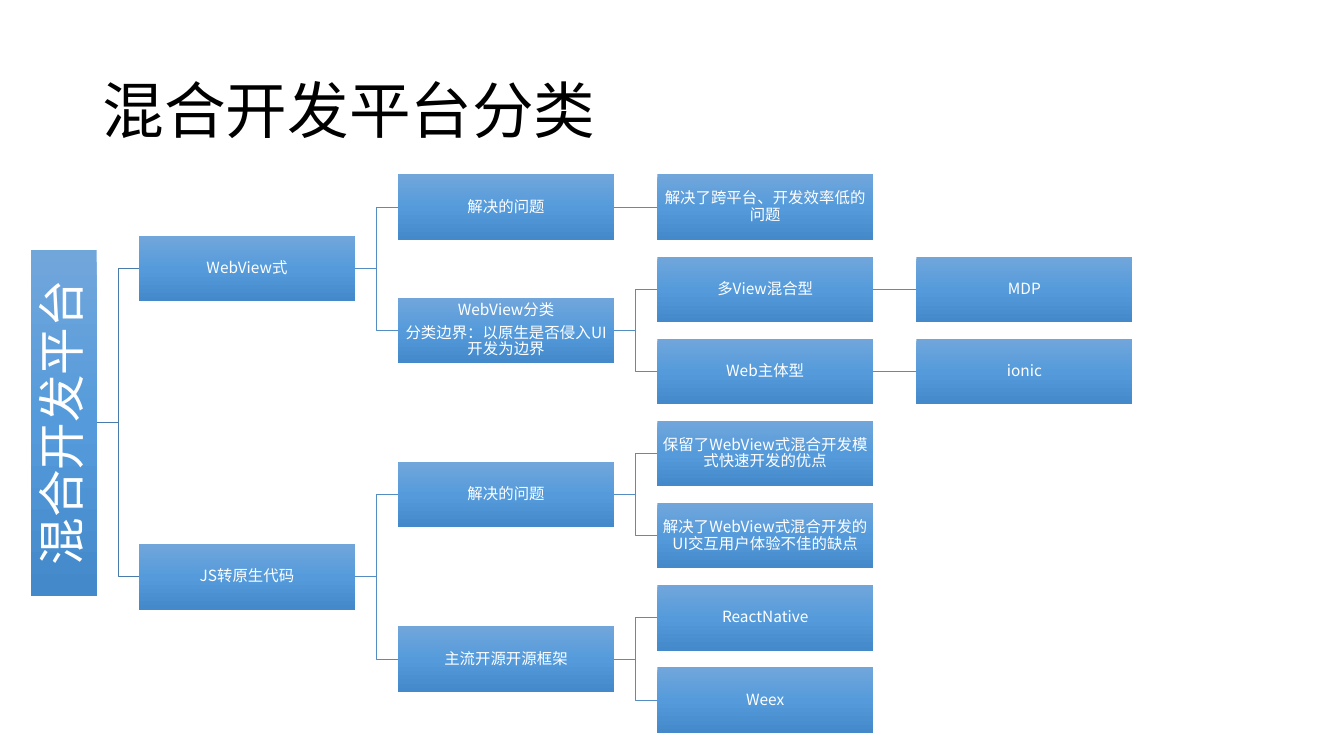
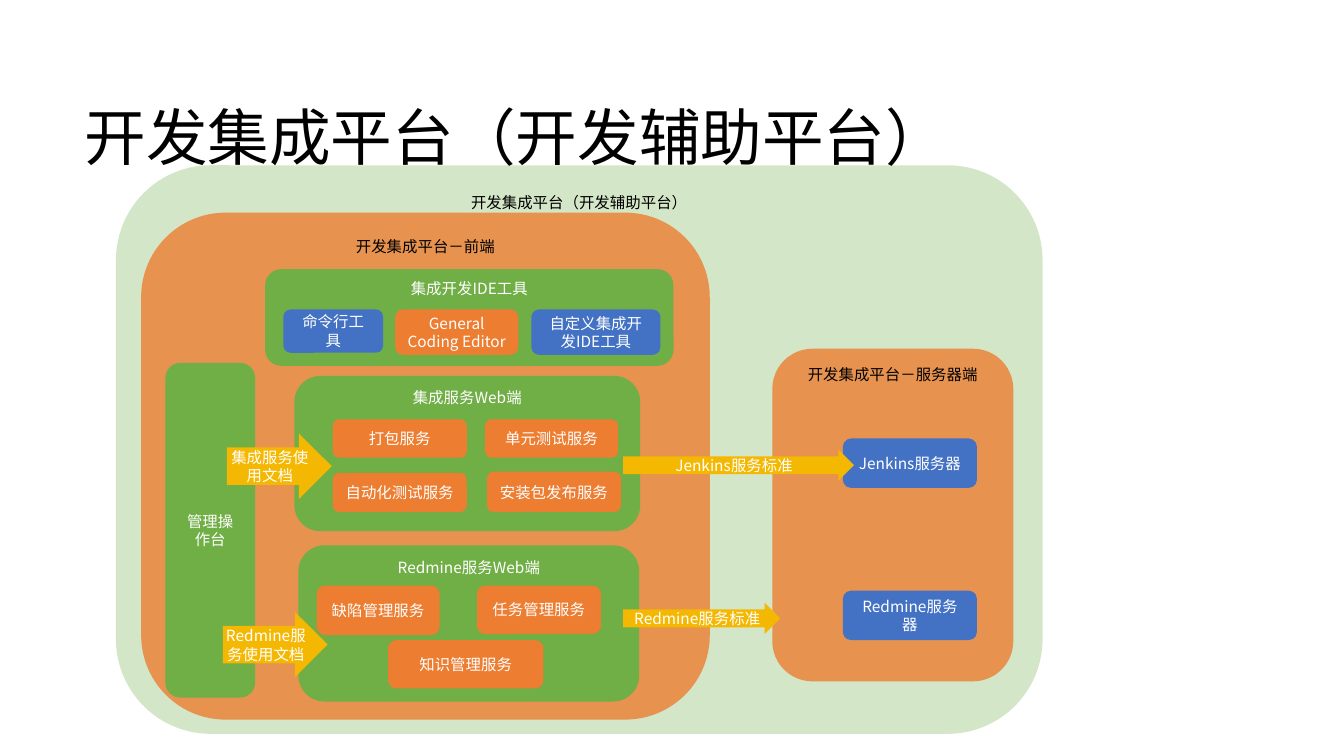
from copy import deepcopy
from itertools import count

from lxml import etree
from pptx import Presentation
from pptx.dml.color import RGBColor
from pptx.enum import shapes, text
from pptx.oxml.ns import qn
from pptx.util import Inches, Pt

FONT = "Noto Sans CJK SC"
BLACK, WHITE = "000000", "FFFFFF"
GREEN, ORANGE, BLUE, YELLOW = "70AE46", "ED7D31", "4372C4", "F4B802"
ROOT_LINE, BRANCH_LINE = "497CAB", "538DC1"
GRADIENT = [(0, "71A6DB"), (0.5, "559BDB"), (1, "448ACA")]
LABEL_SIZE, ROOT_SIZE, TITLE_SIZE = 11, 34, 44

NODE_WIDTH, NODE_HEIGHT = 2.14, 0.65
FIRST_LEFT, COLUMN_PITCH = 1.38, 2.57
FIRST_TOP, ROW_PITCH = 1.73, (6.62 - 1.73) / 6
ROOT_LEFT, ROOT_LENGTH = 0.31, 3.43

TREE = ("混合开发平台", [
    ("WebView式", [
        ("解决的问题", [("解决了跨平台、开发效率低的问题", [])]),
        ("WebView分类\n分类边界：以原生是否侵入UI开发为边界", [
            ("多View混合型", [("MDP", [])]),
            ("Web主体型", [("ionic", [])]),
        ]),
    ]),
    ("JS转原生代码", [
        ("解决的问题", [
            ("保留了WebView式混合开发模式快速开发的优点", []),
            ("解决了WebView式混合开发的UI交互用户体验不佳的缺点", []),
        ]),
        ("主流开源开源框架", [("ReactNative", []), ("Weex", [])]),
    ]),
])

PLATFORM_PANELS = [
    ("开发集成平台（开发辅助平台）", (1.15, 1.64, 9.19, 5.64), GREEN, 30, 0),
    ("开发集成平台－服务器端", (7.66, 3.46, 2.39, 3.3), ORANGE, 80, None),
    ("开发集成平台－前端", (1.4, 2.11, 5.64, 5.03), ORANGE, 80, 0),
]
SERVICE_PANELS = [
    ("集成开发IDE工具", (2.63, 2.67, 4.05, 0.96)),
    ("集成服务Web端", (2.92, 3.73, 3.43, 1.54)),
    ("Redmine服务Web端", (2.96, 5.41, 3.38, 1.55)),
]
BLOCKS = [
    ("管理操作台", (1.64, 3.6, 0.89, 3.32), GREEN),
    ("命令行工具", (2.81, 3.07, 0.99, 0.43), BLUE),
    ("General Coding Editor", (3.92, 3.07, 1.22, 0.45), ORANGE),
    ("自定义集成开发IDE工具", (5.27, 3.07, 1.28, 0.45), BLUE),
    ("打包服务", (3.3, 4.16, 1.33, 0.38), ORANGE),
    ("单元测试服务", (4.81, 4.16, 1.32, 0.38), ORANGE),
    ("自动化测试服务", (3.3, 4.69, 1.33, 0.39), ORANGE),
    ("安装包发布服务", (4.83, 4.68, 1.33, 0.4), ORANGE),
    ("缺陷管理服务", (3.14, 5.81, 1.22, 0.49), ORANGE),
    ("任务管理服务", (4.73, 5.81, 1.23, 0.48), ORANGE),
    ("知识管理服务", (3.85, 6.35, 1.54, 0.48), ORANGE),
    ("Jenkins服务器", (8.36, 4.35, 1.33, 0.49), BLUE),
    ("Redmine服务器", (8.36, 5.86, 1.33, 0.49), BLUE),
]
ARROWS = [
    ("Jenkins服务标准", (6.18, 4.46, 2.29, 0.31)),
    ("集成服务使用文档", (2.25, 4.3, 1.04, 0.65)),
    ("Redmine服务标准", (6.18, 5.98, 1.56, 0.31)),
    ("Redmine服务使用文档", (2.21, 6.07, 1.04, 0.65)),
]


def color(value):
    """Turn a hex string into a colour."""
    return RGBColor.from_string(value)


def write(box, words, size, tone, align, anchor=text.MSO_ANCHOR.MIDDLE, inset=None):
    """Fill a box with evenly styled paragraphs and return them."""
    frame = box.text_frame
    frame.word_wrap = True
    frame.vertical_anchor = anchor
    if inset is not None:
        frame.margin_left = frame.margin_right = Inches(inset)
        frame.margin_top = frame.margin_bottom = Inches(inset)
    frame.text = words
    for para in frame.paragraphs:
        para.alignment = align
        para.font.size = Pt(size)
        para.font.name = FONT
        para.font.color.rgb = color(tone)
        defaults = para._p.pPr.find(qn("a:defRPr"))
        etree.SubElement(defaults, qn("a:ea")).set("typeface", FONT)
    return frame.paragraphs


def add_title(page, words, place):
    """Add the slide title."""
    box = page.shapes.add_textbox(*map(Inches, place))
    for para in write(box, words, TITLE_SIZE, BLACK, text.PP_ALIGN.LEFT):
        para.line_spacing = 0.9


def add_box(page, kind, place):
    """Add a preset shape without outline or shadow."""
    box = page.shapes.add_shape(kind, *map(Inches, place))
    box.shadow.inherit = False
    box.line.fill.background()
    return box


def fill_solid(box, tone, opacity=100):
    """Fill a shape with one colour, translucent if asked."""
    box.fill.solid()
    box.fill.fore_color.rgb = color(tone)
    if opacity < 100:
        swatch = box._element.spPr.find(qn("a:solidFill")).find(qn("a:srgbClr"))
        etree.SubElement(swatch, qn("a:alpha")).set("val", str(opacity * 1000))


def fill_gradient(box):
    """Fill a shape with the downward blue gradient."""
    box.fill.gradient()
    box.fill.gradient_angle = 270
    stop_list = box._element.spPr.find(qn("a:gradFill")).find(qn("a:gsLst"))
    stop_list.insert(1, deepcopy(stop_list[0]))
    for stop, (position, tone) in zip(box.fill.gradient_stops, GRADIENT):
        stop.position = position
        stop.color.rgb = color(tone)


def add_node(page, words, place, size=LABEL_SIZE, inset=0.01):
    """Add one gradient box of the tree."""
    box = add_box(page, shapes.MSO_SHAPE.RECTANGLE, place)
    fill_gradient(box)
    for para in write(box, words, size, WHITE, text.PP_ALIGN.CENTER, inset=inset):
        para.line_spacing = 0.9
        para.space_after = Pt(round(size * 0.35))
    return box


def add_link(page, parent, child, tone):
    """Join the right side of a parent to the left side of its child."""
    level = abs(parent.top + parent.height / 2 - child.top - child.height / 2) < Inches(0.01)
    kind = shapes.MSO_CONNECTOR.STRAIGHT if level else shapes.MSO_CONNECTOR.ELBOW
    link = page.shapes.add_connector(kind, 0, 0, 0, 0)
    link.begin_connect(parent, 3)
    link.end_connect(child, 1)
    link.line.color.rgb = color(tone)
    link.line.width = Pt(0.5)
    etree.SubElement(link._element.spPr, qn("a:effectLst"))


def add_branch(page, branch, depth, rows):
    """Add a branch with its children, centred on them, and return its box."""
    words, children = branch
    boxes = [add_branch(page, child, depth + 1, rows) for child in children]
    if boxes:
        top = (boxes[0].top + boxes[-1].top) / 2 / Inches(1)
    else:
        top = FIRST_TOP + next(rows) * ROW_PITCH
    if depth < 0:
        root_top = top + (NODE_HEIGHT - ROOT_LENGTH) / 2
        node = add_node(page, words, (ROOT_LEFT, root_top, NODE_HEIGHT, ROOT_LENGTH),
                        ROOT_SIZE, 0.02)
        node.text_frame._txBody.bodyPr.set("vert", "vert270")
    else:
        left = FIRST_LEFT + depth * COLUMN_PITCH
        node = add_node(page, words, (left, top, NODE_WIDTH, NODE_HEIGHT))
    for box in boxes:
        add_link(page, node, box, ROOT_LINE if depth < 0 else BRANCH_LINE)
    return node


def add_panel(page, words, place, tone, opacity=100, inset=None, ink=WHITE):
    """Add a rounded container with its label at the top."""
    panel = add_box(page, shapes.MSO_SHAPE.ROUNDED_RECTANGLE, place)
    fill_solid(panel, tone, opacity)
    write(panel, words, LABEL_SIZE, ink, text.PP_ALIGN.CENTER, text.MSO_ANCHOR.TOP, inset)


def add_block(page, words, place, tone):
    """Add a rounded block with a centred label."""
    block = add_box(page, shapes.MSO_SHAPE.ROUNDED_RECTANGLE, place)
    fill_solid(block, tone)
    write(block, words, LABEL_SIZE, WHITE, text.PP_ALIGN.CENTER)


def add_arrow(page, words, place):
    """Add a labelled block arrow pointing right."""
    arrow = add_box(page, shapes.MSO_SHAPE.RIGHT_ARROW, place)
    arrow.adjustments[0] = 0.57
    fill_solid(arrow, YELLOW)
    write(arrow, words, LABEL_SIZE, WHITE, text.PP_ALIGN.CENTER, inset=0)


def build_tree_slide(page):
    """Build the classification tree."""
    add_title(page, "混合开发平台分类", (0.92, 0.4, 11.5, 1.45))
    add_branch(page, TREE, -1, count())


def build_platform_slide(page):
    """Build the integration platform diagram."""
    for words, place, tone, opacity, inset in PLATFORM_PANELS:
        add_panel(page, words, place, tone, opacity, inset, BLACK)
    for words, place in SERVICE_PANELS:
        add_panel(page, words, place, GREEN)
    for words, place, tone in BLOCKS:
        add_block(page, words, place, tone)
    for words, place in ARROWS:
        add_arrow(page, words, place)
    add_title(page, "开发集成平台（开发辅助平台）", (0.74, 0.67, 10.42, 1.44))


def main():
    """Build and save the deck."""
    deck = Presentation()
    deck.slide_width, deck.slide_height = Inches(13.33), Inches(7.5)
    for build in (build_tree_slide, build_platform_slide):
        build(deck.slides.add_slide(deck.slide_layouts[6]))
    deck.save("out.pptx")


if __name__ == "__main__":
    main()
